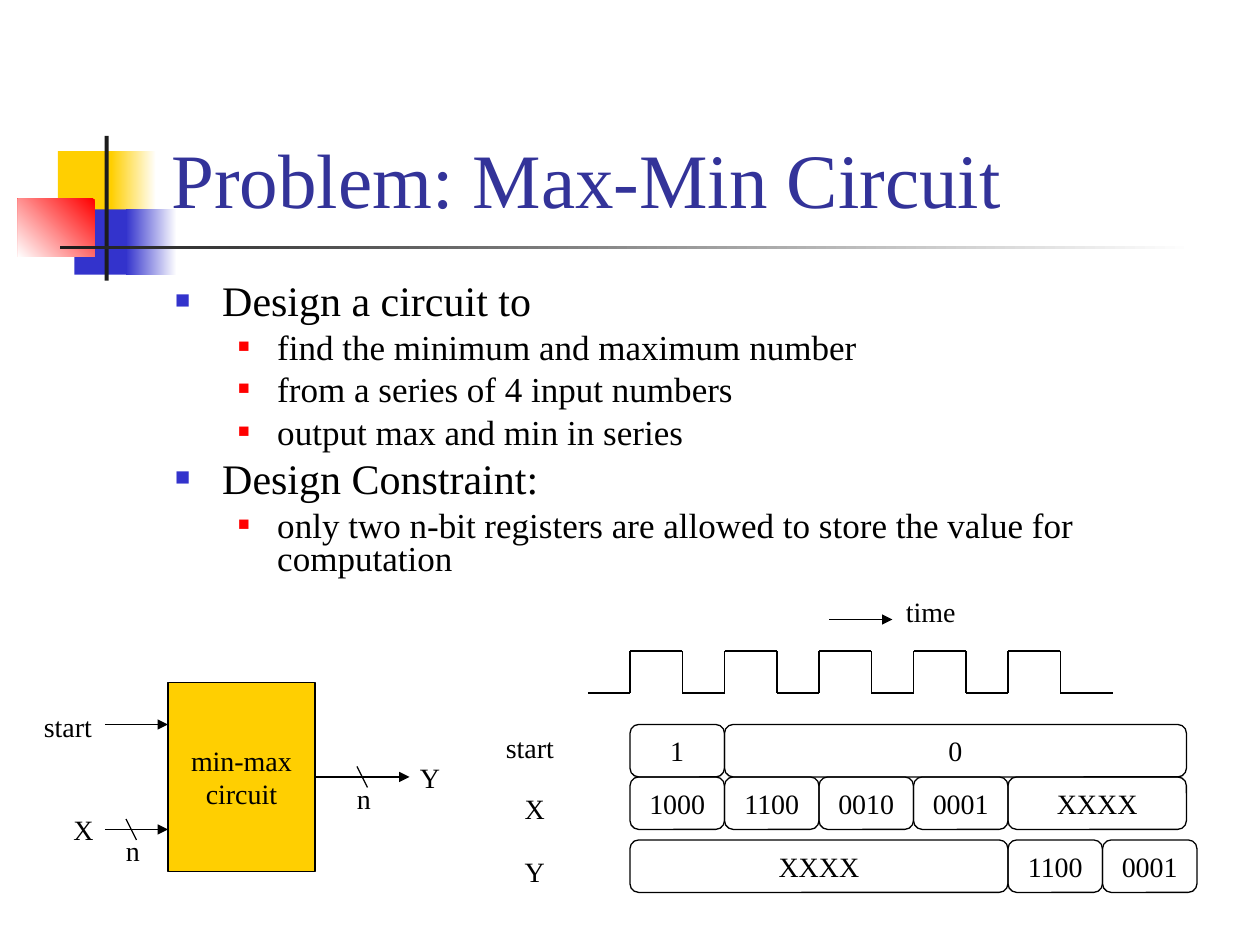
from dataclasses import dataclass
from itertools import pairwise

from lxml import etree
from pptx import Presentation
from pptx.dml.color import RGBColor
from pptx.enum.shapes import MSO_CONNECTOR, MSO_SHAPE
from pptx.enum.text import MSO_ANCHOR, MSO_AUTO_SIZE, PP_ALIGN
from pptx.oxml.ns import qn
from pptx.util import Cm, Pt

RECT, ROUND = MSO_SHAPE.RECTANGLE, MSO_SHAPE.ROUNDED_RECTANGLE
STRAIGHT = MSO_CONNECTOR.STRAIGHT
LEFT, CENTER = PP_ALIGN.LEFT, PP_ALIGN.CENTER
TOP, MIDDLE, BOTTOM = MSO_ANCHOR.TOP, MSO_ANCHOR.MIDDLE, MSO_ANCHOR.BOTTOM
NO_FIT, GROW = MSO_AUTO_SIZE.NONE, MSO_AUTO_SIZE.SHAPE_TO_FIT_TEXT

FONT = "Times New Roman"
BLACK, WHITE, DARK = "000000", "FFFFFF", "1C1C1C"
GOLD, BLUE, RED, NAVY = "FFCF01", "3333CC", "FF0000", "333399"
UNIT = 2.54 / 12  # the diagrams sit on a grid of twelfths of an inch


@dataclass
class Block:
    """A decorative bar in cm; it fades from start to end if end is set."""
    x: float
    y: float
    w: float
    h: float
    start: str
    end: str = ""
    angle: int = 180


@dataclass
class Level:
    size: int
    indent: float
    hang: float
    before: int
    color: str
    scale: int


@dataclass
class Label:
    text: str
    x: float
    y: float
    w: float


@dataclass
class Wire:
    x1: float
    y1: float
    x2: float
    y2: float
    arrow: bool = False


@dataclass
class Cell:
    text: str
    x: int
    y: int
    w: int = 9


BLOCKS = [
    Block(1.17, 3.05, 1.22, 1.32, GOLD),
    Block(2.24, 3.05, 0.91, 1.32, WHITE, GOLD),
    Block(1.5, 4.22, 1.17, 1.32, BLUE),
    Block(2.54, 4.22, 1.02, 1.32, WHITE, BLUE),
    Block(0.36, 4.01, 1.55, 1.17, RED, WHITE, 225),
    Block(2.11, 2.74, 0.08, 2.92, DARK),
    Block(1.22, 4.95, 22.86, 0.08, WHITE, DARK),
]
LEVELS = [Level(24, 0.95, 0.95, 6, BLUE, 60), Level(20, 2.06, 0.79, 5, RED, 55)]
BULLETS = [
    (0, "Design a circuit to"),
    (1, "find the minimum and maximum number"),
    (1, "from a series of 4 input numbers"),
    (1, "output max and min in series"),
    (0, "Design Constraint:"),
    (1, "only two n-bit registers are allowed to store the value for computation"),
]
LABELS = [
    Label("start", 3, 67, 7), Label("X", 5.8, 76.8, 4.3),
    Label("n", 10.8, 78.8, 3.7), Label("n", 32.8, 73.8, 3.7),
    Label("Y", 38.8, 71.8, 4.3), Label("start", 47, 69, 7),
    Label("X", 48.8, 74.8, 4.3), Label("Y", 48.8, 80.8, 4.3),
    Label("time", 85.1, 56, 7.1),
]
WIRES = [
    Wire(10, 69, 16, 69, True),
    Wire(10, 79, 16, 79, True), Wire(12, 78, 13, 80),
    Wire(30, 74, 39, 74, True), Wire(34, 73, 35, 75),
    Wire(79, 59, 85, 59, True),
]
CLOCK, PERIOD, PULSE, HIGH, LOW = 60, 9, 5, 62, 66
ROWS = [  # top of the row, then the text and width of each cell
    (69, [("1", 9), ("0", 44)]),
    (74, [("1000", 9), ("1100", 9), ("0010", 9), ("0001", 9), ("XXXX", 17)]),
    (80, [("XXXX", 36), ("1100", 9), ("0001", 9)]),
]


def rgb(code: str) -> RGBColor:
    return RGBColor.from_string(code)


def grid(count: float) -> Cm:
    return Cm(count * UNIT)


def style(frame, size: int, color: str = BLACK, align=LEFT) -> None:
    for para in frame.paragraphs:
        para.alignment = align
        for run in para.runs:
            run.font.name, run.font.size = FONT, Pt(size)
            run.font.color.rgb = rgb(color)


def setup(frame, anchor, wrap: bool, fit=NO_FIT) -> None:
    frame.auto_size, frame.word_wrap = fit, wrap
    frame.vertical_anchor = anchor


def draw_block(slide, block: Block) -> None:
    shape = slide.shapes.add_shape(
        RECT, Cm(block.x), Cm(block.y), Cm(block.w), Cm(block.h))
    shape.shadow.inherit = False
    shape.line.fill.background()
    if not block.end:
        shape.fill.solid()
        shape.fill.fore_color.rgb = rgb(block.start)
        return
    shape.fill.gradient()
    shape.fill.gradient_angle = block.angle
    for stop, code in zip(shape.fill.gradient_stops, (block.start, block.end)):
        stop.color.rgb = rgb(code)


def add_bullet(para, level: Level) -> None:
    props = para._p.get_or_add_pPr()
    props.set("marL", str(Cm(level.indent)))
    props.set("indent", str(-Cm(level.hang)))
    color = etree.SubElement(props, qn("a:buClr"))
    etree.SubElement(color, qn("a:srgbClr"), val=level.color)
    etree.SubElement(props, qn("a:buSzPct"), val=str(level.scale * 1000))
    etree.SubElement(props, qn("a:buFont"), typeface=FONT)
    etree.SubElement(props, qn("a:buChar"), char="■")


def draw_body(slide) -> None:
    frame = slide.shapes.add_textbox(
        Cm(3.28), Cm(5.61), Cm(21.59), Cm(6.25)).text_frame
    setup(frame, TOP, True)
    frame.text = "\n".join(text for _, text in BULLETS)
    style(frame, LEVELS[0].size)
    for index, (para, (depth, _)) in enumerate(zip(frame.paragraphs, BULLETS)):
        level = LEVELS[depth]
        add_bullet(para, level)
        para.level = depth
        para.line_spacing = 0.8
        para.space_before = Pt(level.before if index else 0)
        para.runs[0].font.size = Pt(level.size)


def draw_box(slide, kind, cell: Cell, height: int, fill: str = "") -> None:
    shape = slide.shapes.add_shape(
        kind, grid(cell.x), grid(cell.y), grid(cell.w), grid(height))
    shape.shadow.inherit = False
    shape.line.color.rgb, shape.line.width = rgb(BLACK), Pt(0.75)
    if fill:
        shape.fill.solid()
        shape.fill.fore_color.rgb = rgb(fill)
    else:
        shape.fill.background()
    setup(shape.text_frame, MIDDLE, False)
    shape.text_frame.text = cell.text
    style(shape.text_frame, 16, align=CENTER)


def draw_label(slide, label: Label) -> None:
    frame = slide.shapes.add_textbox(
        grid(label.x), grid(label.y), grid(label.w), grid(4.4)).text_frame
    setup(frame, TOP, False, GROW)
    frame.text = label.text
    style(frame, 16)


def draw_wire(slide, wire: Wire) -> None:
    line = slide.shapes.add_connector(
        STRAIGHT, grid(wire.x1), grid(wire.y1), grid(wire.x2), grid(wire.y2))
    line.line.color.rgb, line.line.width = rgb(BLACK), Pt(0.75)
    if wire.arrow:
        etree.SubElement(line.line._get_or_add_ln(), qn("a:tailEnd"), type="triangle")
    etree.SubElement(line._element.spPr, qn("a:effectLst"))


def draw_clock(slide) -> None:
    points = [(CLOCK - 4, LOW)]
    for rise in range(CLOCK, CLOCK + 5 * PERIOD, PERIOD):
        fall = rise + PULSE
        points += [(rise, LOW), (rise, HIGH), (fall, HIGH), (fall, LOW)]
    points.append((fall + 5, LOW))
    for start, end in pairwise(points):
        draw_wire(slide, Wire(*start, *end))


def main() -> None:
    deck = Presentation()
    deck.slide_width, deck.slide_height = Cm(25.4), Cm(19.05)
    slide = deck.slides.add_slide(deck.slide_layouts[5])
    for block in BLOCKS:
        draw_block(slide, block)
    title = slide.shapes.title
    title.left, title.top, title.width, title.height = Cm(3.2), Cm(0.58), Cm(21.64), Cm(4.06)
    setup(title.text_frame, BOTTOM, True)
    title.text_frame.text = "Problem: Max-Min Circuit"
    style(title.text_frame, 44, NAVY)
    draw_body(slide)
    draw_box(slide, RECT, Cell("min-max\ncircuit", 16, 65, 14), 18, GOLD)
    for wire in WIRES:
        draw_wire(slide, wire)
    draw_clock(slide)
    for top, cells in ROWS:
        x = CLOCK
        for text, width in cells:
            draw_box(slide, ROUND, Cell(text, x, top, width), 5)
            x += width
    for label in LABELS:
        draw_label(slide, label)
    deck.save("out.pptx")


if __name__ == "__main__":
    main()
